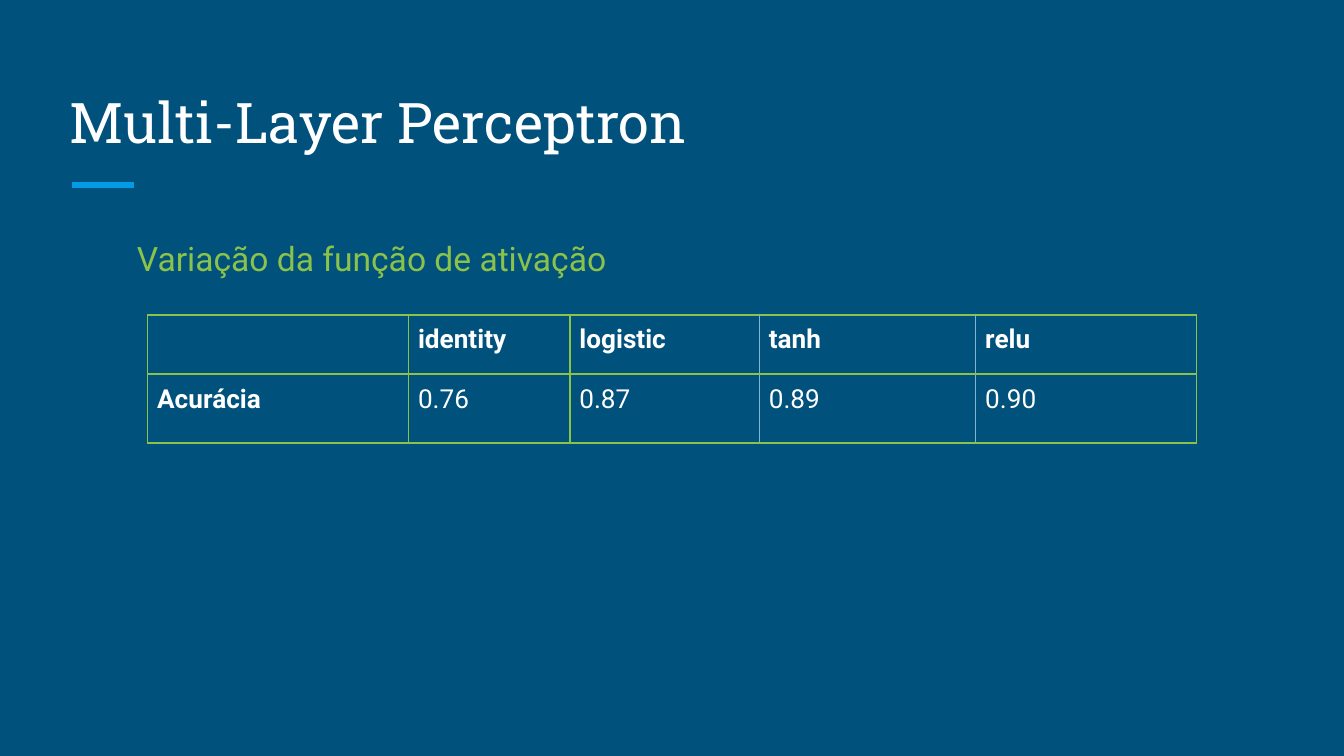
from dataclasses import dataclass

import lxml.etree
import pptx
import pptx.dml.color
import pptx.enum.shapes
import pptx.enum.text
import pptx.oxml.ns
import pptx.util

Cm = pptx.util.Cm
Pt = pptx.util.Pt
RGBColor = pptx.dml.color.RGBColor
Anchor = pptx.enum.text.MSO_ANCHOR
qn = pptx.oxml.ns.qn

NAVY = RGBColor(0x00, 0x51, 0x7C)
BLUE = RGBColor(0x03, 0x9B, 0xE5)
GREEN = RGBColor(0x8B, 0xC3, 0x4A)
PALE_BLUE = RGBColor(0x81, 0xB4, 0xD0)
WHITE = RGBColor(0xFF, 0xFF, 0xFF)


@dataclass(frozen=True)
class TextBox:
    text: str
    top: float
    height: float
    size: float
    font: str
    color: RGBColor
    anchor: Anchor
    indent: float = 0
    line_spacing: float = 1.0


@dataclass(frozen=True)
class Border:
    color: RGBColor
    width: float


OUTER = Border(GREEN, 1)
THIN = Border(PALE_BLUE, 0.5)

TEXT_BOXES = (
    TextBox("Multi-Layer Perceptron", 1.27, 1.91, 30, "Roboto Slab", WHITE, Anchor.BOTTOM),
    TextBox("Variação da função de ativação", 4.14, 1.4, 18, "Roboto", GREEN, Anchor.TOP,
            indent=1.27, line_spacing=1.15),
)
ACCURACY_ROWS = (
    ("", "identity", "logistic", "tanh", "relu"),
    ("Acurácia", "0.76", "0.87", "0.89", "0.90"),
)
COLUMN_WIDTHS = (4.93, 3.05, 3.58, 4.09, 4.17)
ROW_HEIGHTS = (1.09, 1.3)
COLUMN_BORDERS = (OUTER, OUTER, OUTER, THIN, THIN, OUTER)


def write_text(text_frame, text: str, *, size: float, font: str, color: RGBColor,
               bold: bool = False, indent: float = 0, line_spacing: float = 1.0) -> None:
    paragraph = text_frame.paragraphs[0]
    paragraph.line_spacing = line_spacing
    if indent:
        paragraph._p.get_or_add_pPr().set("indent", str(Cm(indent)))
    run = paragraph.add_run()
    run.text = text
    run.font.size = Pt(size)
    run.font.name = font
    run.font.bold = bold
    run.font.color.rgb = color


def set_margins(target, margin: float) -> None:
    for side in ("left", "right", "top", "bottom"):
        setattr(target, f"margin_{side}", Cm(margin))


def add_text_box(slide, box: TextBox) -> None:
    shape = slide.shapes.add_textbox(Cm(1.07), Cm(box.top), Cm(23.24), Cm(box.height))
    text_frame = shape.text_frame
    text_frame.word_wrap = True
    text_frame.vertical_anchor = box.anchor
    set_margins(text_frame, 0.25)
    write_text(text_frame, box.text, size=box.size, font=box.font, color=box.color,
               indent=box.indent, line_spacing=box.line_spacing)


def add_accent_line(slide) -> None:
    connector = slide.shapes.add_connector(
        pptx.enum.shapes.MSO_CONNECTOR.STRAIGHT, Cm(1.37), Cm(3.5), Cm(2.54), Cm(3.5))
    connector.line.color.rgb = BLUE
    connector.line.width = Pt(3)
    lxml.etree.SubElement(connector._element.spPr, qn("a:effectLst"))


def set_borders(cell, left: Border, right: Border) -> None:
    properties = cell._tc.get_or_add_tcPr()
    sides = {"a:lnL": left, "a:lnR": right, "a:lnT": OUTER, "a:lnB": OUTER}
    for tag, border in sides.items():
        line = lxml.etree.SubElement(properties, qn(tag), w=str(Pt(border.width)))
        fill = lxml.etree.SubElement(line, qn("a:solidFill"))
        lxml.etree.SubElement(fill, qn("a:srgbClr"), val=str(border.color))


def add_accuracy_table(slide) -> None:
    table = slide.shapes.add_table(
        len(ROW_HEIGHTS), len(COLUMN_WIDTHS), Cm(2.79), Cm(5.95),
        Cm(sum(COLUMN_WIDTHS)), Cm(sum(ROW_HEIGHTS))).table
    table.first_row = False
    table.horz_banding = False
    for column, width in zip(table.columns, COLUMN_WIDTHS):
        column.width = Cm(width)
    for row, height in zip(table.rows, ROW_HEIGHTS):
        row.height = Cm(height)
    for row_index, texts in enumerate(ACCURACY_ROWS):
        for column_index, text in enumerate(texts):
            cell = table.cell(row_index, column_index)
            set_margins(cell, 0.18)
            set_borders(cell, *COLUMN_BORDERS[column_index:column_index + 2])
            cell.fill.background()
            write_text(cell.text_frame, text, size=14, font="Roboto", color=WHITE,
                       bold=row_index == 0 or column_index == 0)


def main() -> None:
    presentation = pptx.Presentation()
    presentation.slide_width = Cm(25.4)
    presentation.slide_height = Cm(14.29)
    slide = presentation.slides.add_slide(presentation.slide_layouts[6])
    slide.background.fill.solid()
    slide.background.fill.fore_color.rgb = NAVY
    add_accent_line(slide)
    for box in TEXT_BOXES:
        add_text_box(slide, box)
    add_accuracy_table(slide)
    presentation.save("out.pptx")


if __name__ == "__main__":
    main()
